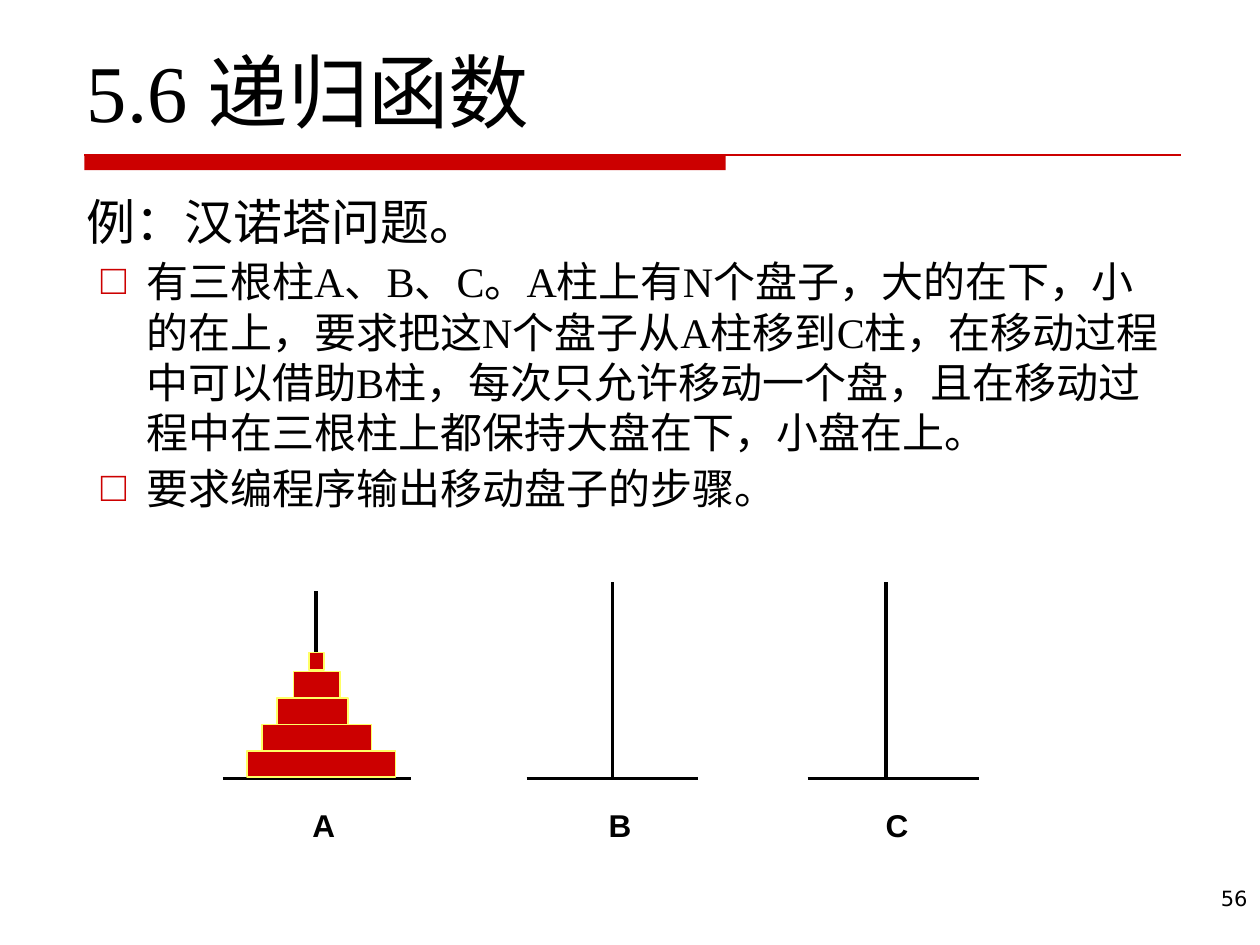
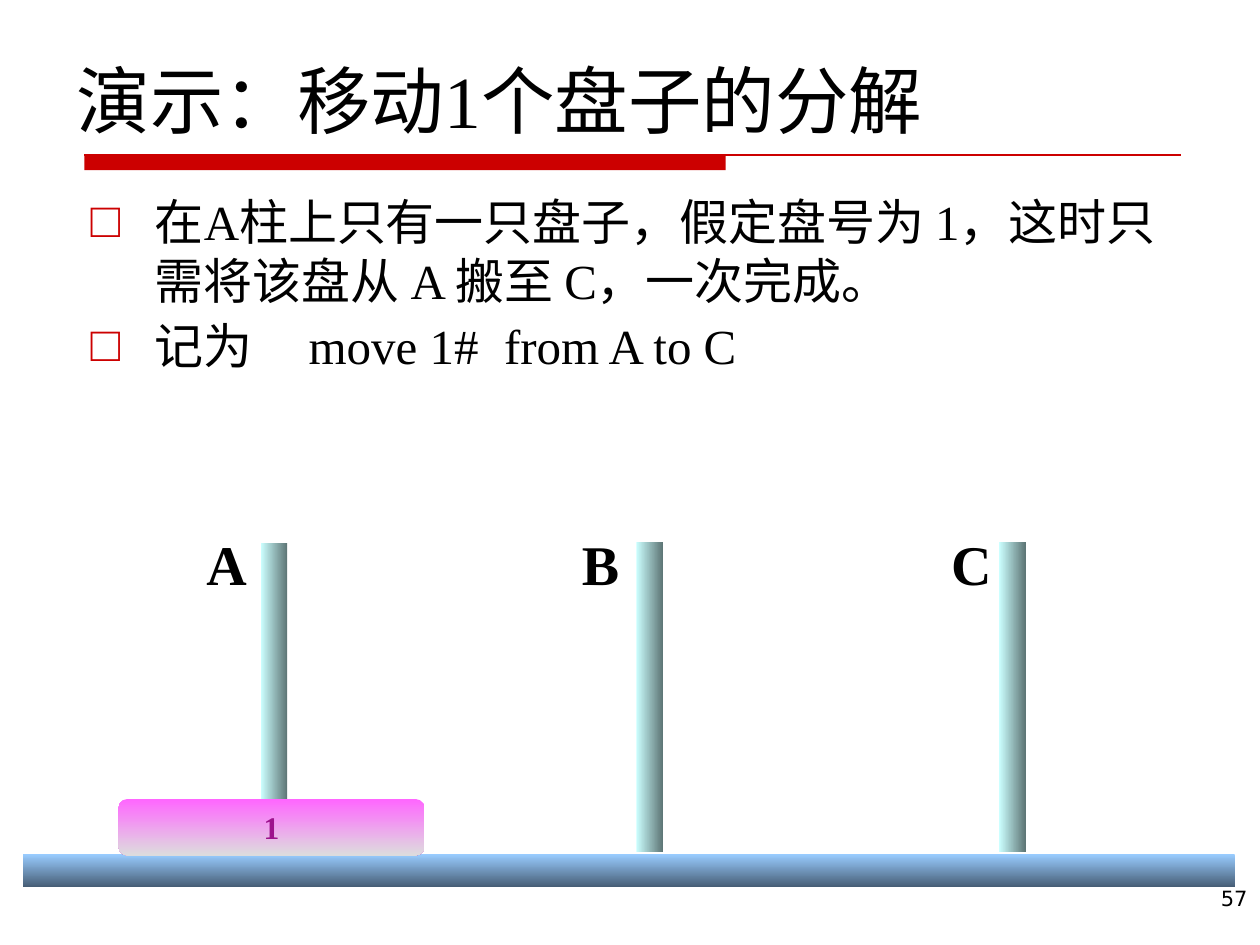
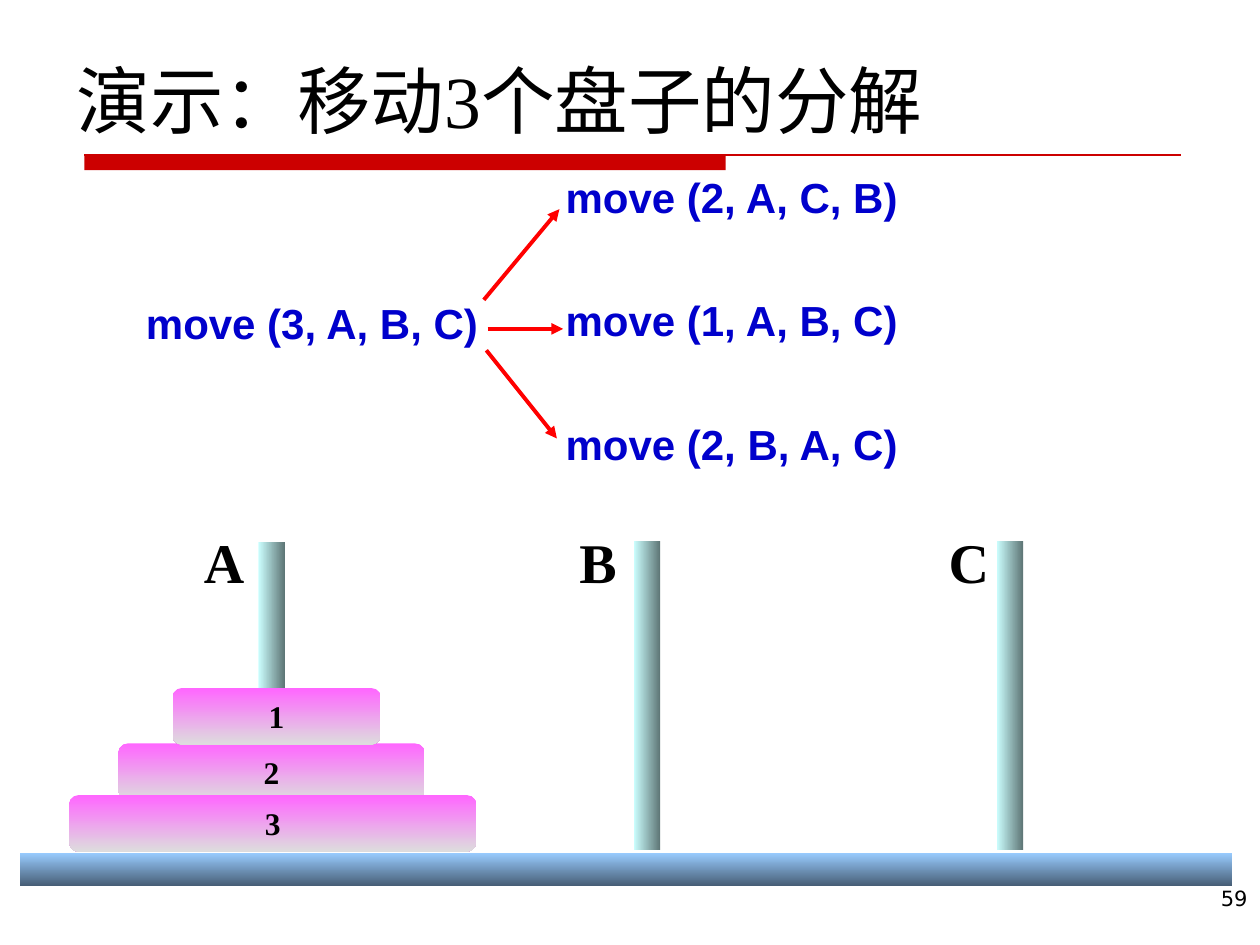
from lxml import etree
from pptx import Presentation
from pptx import util as u
from pptx.dml import color
from pptx.enum import lang, shapes, text
from pptx.oxml import ns

SERIF, SANS = "Times New Roman", "Arial"
RED, BLACK, BLUE = "CC0000", "000000", "0000CC"
STEEL = ("CCFFFF", "5E7676", 0)
BASE = ("99CCFF", "475E76", 270)
PINK = ("FF66FF", "DDDDDD", 270)
LEFT, MID, RIGHT = text.PP_ALIGN.LEFT, text.PP_ALIGN.CENTER, text.PP_ALIGN.RIGHT
RECT = shapes.MSO_SHAPE.RECTANGLE
ROUND = shapes.MSO_SHAPE.ROUNDED_RECTANGLE


def rgb(code):
    return color.RGBColor.from_string(code)


def node(parent, tag, **attrs):
    return etree.SubElement(parent, ns.qn("a:" + tag), attrs)


class Deck:
    def __init__(self):
        self.file = Presentation()
        self.file.slide_width = u.Inches(10)
        self.file.slide_height = u.Inches(7.5)
        self.page = None

    def start(self, layout, number, title, size, box):
        first = self.page is None
        self.page = self.file.slides.add_slide(self.file.slide_layouts[layout])
        if first:
            self.band()
        head = self.page.shapes.title
        self.place(head, box)
        frame = head.text_frame
        frame.text = title
        frame.vertical_anchor = text.MSO_ANCHOR.BOTTOM
        frame.auto_size = text.MSO_AUTO_SIZE.NONE
        self.style(frame.paragraphs[0], size, SERIF)
        self.label(number, (7.86, 6.98, 2.14, 0.52), 12, "DejaVu Sans", align=RIGHT)

    def band(self):
        bar = self.shape(RECT, (0.67, 1.23, 5.09, 0.12), RED)
        rule = self.line((0.67, 1.23), (9.37, 1.23), RED, 0.75)
        for part in (bar, rule):
            self.file.slide_master.shapes.element.append(part.element)

    def place(self, item, box):
        item.left, item.top, item.width, item.height = map(u.Inches, box)

    def style(self, para, size, face, ink=BLACK, bold=False, align=LEFT):
        para.alignment = align
        for run in para.runs:
            font = run.font
            font.size, font.name, font.bold = u.Pt(size), face, bold
            font.color.rgb = rgb(ink)
            font.language_id = lang.MSO_LANGUAGE_ID.SIMPLIFIED_CHINESE

    def label(self, words, box, size, face, ink=BLACK, bold=False, align=LEFT, wrap=True):
        item = self.page.shapes.add_textbox(*map(u.Inches, box))
        item.text_frame.word_wrap = wrap
        item.text_frame.text = words
        self.style(item.text_frame.paragraphs[0], size, face, ink, bold, align)

    def body(self, box, rows):
        item = self.page.placeholders[1]
        self.place(item, box)
        frame = item.text_frame
        frame.auto_size = text.MSO_AUTO_SIZE.NONE
        for i, (words, size, inset, hang, tabs) in enumerate(rows):
            para = frame.add_paragraph() if i else frame.paragraphs[0]
            para.text = words
            props = para._p.get_or_add_pPr()
            props.set("marL", str(u.Inches(inset)))
            props.set("indent", str(-u.Inches(hang)))
            props.set("hangingPunct", "0")
            if hang:
                node(node(props, "buClr"), "srgbClr", val=RED)
                node(props, "buSzPct", val="100000")
                node(props, "buFont", typeface=SERIF)
                node(props, "buChar", char="□")
            else:
                node(props, "buNone")
            if tabs:
                stops = node(props, "tabLst")
                for stop in tabs:
                    node(stops, "tab", pos=str(u.Inches(stop)), algn="l")
            para.space_before = u.Pt(size / 8 if i else 0)
            self.style(para, size, SERIF)

    def shape(self, kind, box, fill, edge=None):
        item = self.page.shapes.add_shape(kind, *map(u.Inches, box))
        item.shadow.inherit = False
        if isinstance(fill, tuple):
            item.fill.gradient()
            item.fill.gradient_angle = fill[2]
            for stop, code in zip(item.fill.gradient_stops, fill):
                stop.color.rgb = rgb(code)
        else:
            item.fill.solid()
            item.fill.fore_color.rgb = rgb(fill)
        if edge:
            item.line.color.rgb = rgb(edge)
            item.line.width = u.Pt(1)
        else:
            item.line.fill.background()
        return item

    def line(self, start, end, ink, width, arrow=False):
        item = self.page.shapes.add_connector(
            shapes.MSO_CONNECTOR.STRAIGHT, *map(u.Inches, start + end))
        item.line.color.rgb = rgb(ink)
        item.line.width = u.Pt(width)
        if arrow:
            node(item.line._get_or_add_ln(), "tailEnd", type="triangle")
        node(item.element.spPr, "effectLst")
        return item

    def disc(self, name, left, top, width, ink=BLACK):
        item = self.shape(ROUND, (left, top, width, 0.45), PINK)
        item.text_frame.text = name
        item.text_frame.vertical_anchor = text.MSO_ANCHOR.MIDDLE
        self.style(item.text_frame.paragraphs[0], 18, SERIF, ink, True, MID)

    def stage(self, left, top):
        self.shape(RECT, (left, top + 2.48, 9.62, 0.26), BASE)
        for name, tag, pole, drop in (("A", 1.36, 1.89, 0.01), ("B", 4.34, 4.87, 0),
                                      ("C", 7.27, 7.75, 0)):
            self.shape(RECT, (left + pole, top + drop, 0.21, 2.46), STEEL)
            self.label(name, (left + tag, top - 0.15, 0.52, 0.64), 32, SERIF,
                       bold=True, wrap=False)

    def call(self, words, left, top):
        self.label(words, (left, top, 2.85, 0.5), 24, SANS, BLUE, True, wrap=False)


def main():
    deck = Deck()

    deck.start(1, "56", "5.6 递归函数", 46, (0.59, 0.41, 8.75, 0.74))
    deck.body((0.59, 1.47, 8.75, 5.43), [
        ("例：汉诺塔问题。", 28, 0, 0, ()),
        ("有三根柱A、B、C。A柱上有N个盘子，大的在下，小的在上，要求把这N个盘子从A柱移到C柱，"
         "在移动过程中可以借助B柱，每次只允许移动一个盘，且在移动过程中在三根柱上都保持大盘在下，"
         "小盘在上。", 24, 0.47, 0.36, ()),
        ("要求编程序输出移动盘子的步骤。", 24, 0.47, 0.36, ()),
    ])
    pegs = (("A", 1.77, 3.26, 2.51, 4.69, 2.57), ("B", 4.18, 5.54, 4.86, 4.62, 4.92),
            ("C", 6.41, 7.77, 7.03, 4.62, 7.12))
    for name, left, right, pole, top, mid in pegs:
        deck.line((left, 6.18), (right, 6.18), BLACK, 2)
        deck.line((pole, 6.18), (pole, top), BLACK, 2)
        deck.label(name, (mid - 0.37, 6.35, 0.74, 0.4), 18, SANS, bold=True, align=MID)
    discs = ((1.96, 1.18), (2.08, 0.87), (2.2, 0.56), (2.33, 0.37))
    for i, (left, width) in enumerate(discs):
        deck.shape(RECT, (left, 5.96 - 0.21 * i, width, 0.21), RED, "FFFF66")
    deck.shape(RECT, (2.45, 5.18, 0.12, 0.14), RED, "FFFF66")

    demo = (0.51, 0.36, 8.93, 0.83)
    deck.start(1, "57", "演示：移动1个盘子的分解", 42, demo)
    deck.body((0.62, 1.47, 8.75, 5.43), [
        ("在A柱上只有一只盘子，假定盘号为 1，这时只需将该盘从 A 搬至 C，一次完成。",
         28, 0.51, 0.51, ()),
        ("记为\tmove 1#\tfrom A to C", 28, 0.51, 0.51, (1.73, 3.28)),
    ])
    deck.stage(0.18, 4.3)
    deck.disc("1", 0.94, 6.34, 2.43, "9D138D")

    deck.start(5, "59", "演示：移动3个盘子的分解", 42, demo)
    deck.call("move (3, A, B, C)", 1.06, 2.31)
    moves = (("move (2, A, C, B)", (3.84, 2.38), (4.44, 1.66)),
             ("move (1, A, B, C)", (3.87, 2.61), (4.47, 2.61)),
             ("move (2, B, A, C)", (3.86, 2.78), (4.42, 3.48)))
    for i, (words, start, end) in enumerate(moves):
        deck.call(words, 4.39, 1.31 + 0.98 * i)
        deck.line(start, end, "FF0000", 2.25, True)
    deck.stage(0.16, 4.29)
    for name, left, top, width in (("2", 0.94, 5.9, 2.43), ("1", 1.37, 5.46, 1.65),
                                   ("3", 0.55, 6.31, 3.23)):
        deck.disc(name, left, top, width)

    deck.file.save("out.pptx")


if __name__ == "__main__":
    main()
